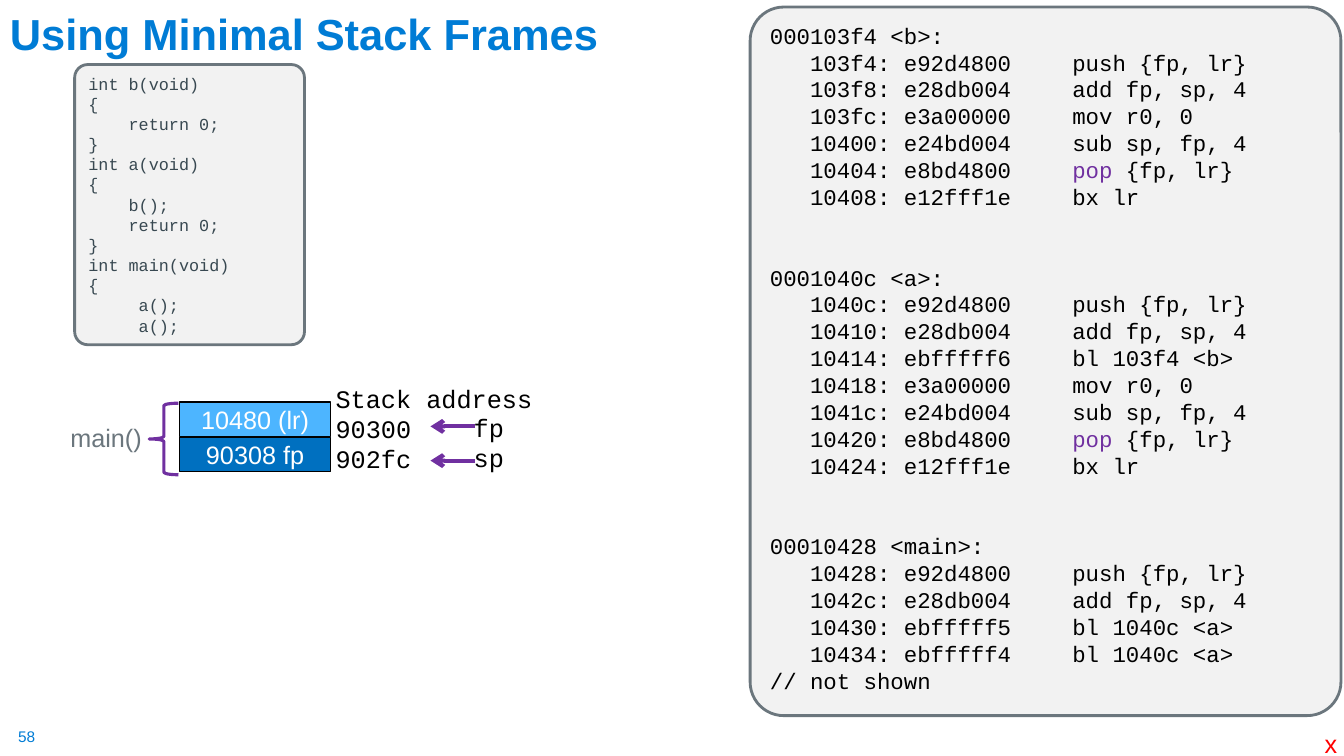
"""Build the slide on minimal stack frames: C source, disassembly and stack diagram."""
from lxml import etree
from pptx import Presentation
from pptx.dml.color import RGBColor
from pptx.enum.shapes import MSO_CONNECTOR, MSO_SHAPE
from pptx.enum.text import MSO_ANCHOR, PP_ALIGN
from pptx.oxml.ns import qn
from pptx.util import Inches, Pt

ROUNDED, RECTANGLE, BRACE = MSO_SHAPE.ROUNDED_RECTANGLE, MSO_SHAPE.RECTANGLE, MSO_SHAPE.LEFT_BRACE
TOP, MIDDLE, BOTTOM = MSO_ANCHOR.TOP, MSO_ANCHOR.MIDDLE, MSO_ANCHOR.BOTTOM
LEFT, CENTER = PP_ALIGN.LEFT, PP_ALIGN.CENTER
STRAIGHT = MSO_CONNECTOR.STRAIGHT
SANS, MONO = "Arial", "Courier New"
COLORS = {
    "title": "007CD5", "panel": "F2F2F2", "gray": "6B767D", "source": "384851",
    "black": "000000", "white": "FFFFFF", "purple": "7030A0", "red": "FF0000",
    "return": "4DB5FF", "frame": "0070C0",
}

SOURCE = """int b(void)
{
    return 0;
}
int a(void)
{
    b();
    return 0;
}
int main(void)
{
     a();
     a();"""

DISASSEMBLY = """000103f4 <b>:
   103f4: e92d4800 \tpush {fp, lr}
   103f8: e28db004 \tadd fp, sp, 4
   103fc: e3a00000 \tmov r0, 0
   10400: e24bd004 \tsub sp, fp, 4
   10404: e8bd4800 \tpop {fp, lr}
   10408: e12fff1e \tbx lr
0001040c <a>:
   1040c: e92d4800 \tpush {fp, lr}
   10410: e28db004 \tadd fp, sp, 4
   10414: ebfffff6 \tbl 103f4 <b>
   10418: e3a00000 \tmov r0, 0
   1041c: e24bd004 \tsub sp, fp, 4
   10420: e8bd4800 \tpop {fp, lr}
   10424: e12fff1e \tbx lr
00010428 <main>:
   10428: e92d4800 \tpush {fp, lr}
   1042c: e28db004 \tadd fp, sp, 4
   10430: ebfffff5 \tbl 1040c <a>
   10434: ebfffff4 \tbl 1040c <a>
// not shown"""


def write(shape, text, size, color, font=SANS, anchor=TOP, align=LEFT, wrap=True, bold=False):
    """Write one paragraph per line, with "pop" in purple and a gap before each later label."""
    frame = shape.text_frame
    frame.word_wrap = wrap
    frame.vertical_anchor = anchor
    for index, line in enumerate(text.split("\n")):
        paragraph = frame.paragraphs[0] if index == 0 else frame.add_paragraph()
        paragraph.alignment = align
        if font == MONO:
            paragraph.line_spacing = Pt(size * 1.2)
        if index and line.endswith(">:"):
            paragraph.space_before = Pt(size * 2.4)
        if "\t" in line:
            tabs = etree.SubElement(paragraph._p.get_or_add_pPr(), qn("a:tabLst"))
            etree.SubElement(tabs, qn("a:tab"), pos=str(Inches(3)), algn="l")
        before, keyword, after = line.partition("pop")
        for part, part_color in ((before, color), (keyword, "purple"), (after, color)):
            if part:
                run = paragraph.add_run()
                run.text = part
                run.font.name = font
                run.font.size = Pt(size)
                run.font.bold = bold
                run.font.color.rgb = RGBColor.from_string(COLORS[part_color])


def add_box(kind, bounds, fill, line, width):
    """Add a preset shape with the given fill and outline."""
    shape = slide.shapes.add_shape(kind, *map(Inches, bounds))
    shape.shadow.inherit = False
    if fill:
        shape.fill.solid()
        shape.fill.fore_color.rgb = RGBColor.from_string(COLORS[fill])
    else:
        shape.fill.background()
    shape.line.color.rgb = RGBColor.from_string(COLORS[line])
    shape.line.width = Pt(width)
    return shape


presentation = Presentation()
presentation.slide_width = Inches(13.33)
presentation.slide_height = Inches(7.5)
slide = presentation.slides.add_slide(presentation.slide_layouts[6])

title = slide.shapes.add_textbox(Inches(0), Inches(-0.14), Inches(8.01), Inches(0.78))
write(title, "Using Minimal Stack Frames", 31, "title", anchor=BOTTOM, bold=True)
title.text_frame.paragraphs[0].line_spacing = 0.9

for bounds, code, size, color in (
    ((0.74, 0.64, 2.28, 2.78), SOURCE, 12, "source"),
    ((7.44, 0.07, 5.86, 7.03), DISASSEMBLY, 16, "black"),
):
    panel = add_box(ROUNDED, bounds, "panel", "gray", 2)
    panel.adjustments[0] = 0.057
    write(panel, code, size, color, MONO)

for top, label, fill in ((3.99, "10480 (lr)", "return"), (4.34, "90308 fp", "frame")):
    cell = add_box(RECTANGLE, (1.78, top, 1.5, 0.34), fill, "black", 1)
    write(cell, label, 18, "white", anchor=MIDDLE, align=CENTER)

add_box(BRACE, (1.48, 4, 0.29, 0.71), None, "purple", 2.25)

for bounds, text, color, font in (
    ((0.6, 4.14, 0.92, 0.4), "main()", "gray", SANS),
    ((3.23, 3.75, 2.18, 1.01), "Stack address\n90300\n902fc", "black", MONO),
    ((4.6, 4.04, 0.51, 0.71), "fp\nsp", "black", MONO),
    ((13.04, 7.18, 0.33, 0.4), "x", "red", SANS),
):
    label = slide.shapes.add_textbox(*map(Inches, bounds))
    write(label, text, 18, color, font, wrap=False)

for y in (4.23, 4.57):
    arrow = slide.shapes.add_connector(STRAIGHT, Inches(4.71), Inches(y), Inches(4.27), Inches(y))
    arrow.line.color.rgb = RGBColor.from_string(COLORS["purple"])
    arrow.line.width = Pt(3)
    etree.SubElement(arrow.line._get_or_add_ln(), qn("a:tailEnd"), type="arrow")
    etree.SubElement(arrow._element.spPr, qn("a:effectLst"))

number = slide.shapes.add_textbox(Inches(0.18), Inches(7.21), Inches(0.19), Inches(0.19))
frame = number.text_frame
frame.margin_left = frame.margin_top = frame.margin_right = frame.margin_bottom = 0
write(number, "58", 11, "title", wrap=False)

presentation.save("out.pptx")
